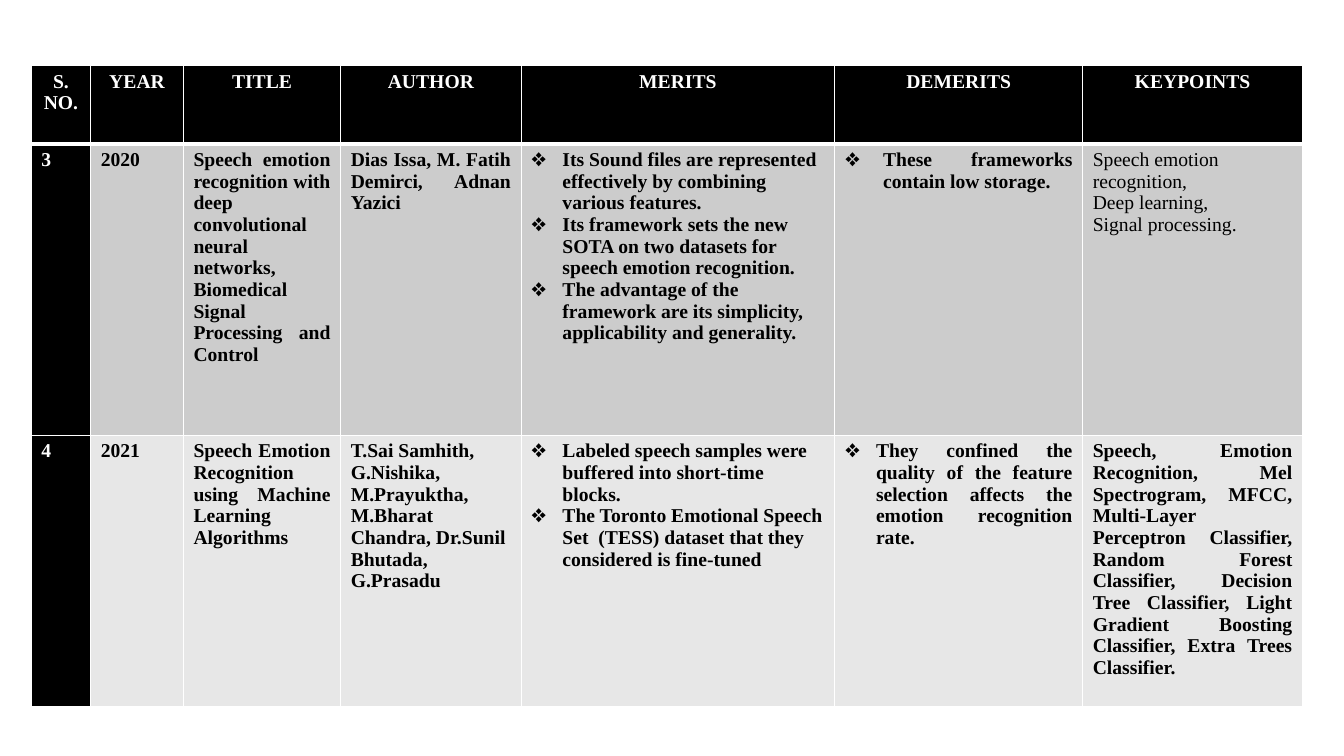
from lxml import etree
from pptx import Presentation
from pptx.dml.color import RGBColor
from pptx.enum.text import PP_ALIGN
from pptx.oxml.ns import qn
from pptx.util import Inches, Pt

COLORS = {"white": "FFFFFF", "black": "000000", "gray": "CCCCCC", "light": "E7E7E7"}
FONT = "Times New Roman"
LEFT, CENTER, JUSTIFY = PP_ALIGN.LEFT, PP_ALIGN.CENTER, PP_ALIGN.JUSTIFY


def write(cell, text, color="black", bold=True, align=JUSTIFY, indent=0):
    """Fill a cell with one paragraph per line; an indent adds diamond bullets."""
    tf = cell.text_frame
    for i, line in enumerate(text.split("\n")):
        p = tf.add_paragraph() if i else tf.paragraphs[0]
        p.alignment = align
        if indent:
            pPr = p._p.get_or_add_pPr()
            pPr.set("marL", str(Inches(indent)))
            pPr.set("indent", str(-Inches(indent)))
            bullet_color = etree.SubElement(pPr, qn("a:buClr"))
            etree.SubElement(bullet_color, qn("a:srgbClr"), val=COLORS[color])
            etree.SubElement(pPr, qn("a:buFont"), typeface=FONT)
            etree.SubElement(pPr, qn("a:buChar"), char="❖")
        r = p.add_run()
        r.text = line
        r.font.name = FONT
        r.font.size = Pt(14)
        r.font.bold = bold
        r.font.color.rgb = RGBColor.from_string(COLORS[color])


def add_borders(cell, **widths):
    tcPr = cell._tc.get_or_add_tcPr()
    for side, width in widths.items():
        ln = etree.SubElement(tcPr, qn(f"a:ln{side}"), w=str(Pt(width)))
        fill = etree.SubElement(ln, qn("a:solidFill"))
        etree.SubElement(fill, qn("a:srgbClr"), val=COLORS["white"])


headers = ["S.\nNO.", "YEAR", "TITLE", "AUTHOR", "MERITS", "DEMERITS", "KEYPOINTS"]
col_widths = [0.59, 0.92, 1.56, 1.79, 3.11, 2.46, 2.18]
row_heights = [0.78, 2.89, 2.69]
row_fills = ["black", "gray", "light"]

# Each entry is a text and the format that differs from bold, black, justified
papers = [
    [
        ("3", {"color": "white"}),
        ("2020", {}),
        ("Speech emotion recognition with deep convolutional neural networks, "
         "Biomedical Signal Processing and Control", {}),
        ("Dias Issa, M. Fatih Demirci, Adnan Yazici", {}),
        ("Its Sound files are represented effectively by combining various features.\n"
         "Its framework sets the new SOTA on two datasets for speech emotion recognition.\n"
         "The advantage of the framework are its simplicity, applicability and generality.",
         {"align": LEFT, "indent": 0.31}),
        ("These frameworks contain low storage.", {"indent": 0.38}),
        ("Speech emotion recognition,\nDeep learning,\nSignal processing.",
         {"align": LEFT, "bold": False}),
    ],
    [
        ("4", {"color": "white"}),
        ("2021", {}),
        ("Speech Emotion Recognition using Machine Learning Algorithms", {}),
        ("T.Sai Samhith, G.Nishika, M.Prayuktha, M.Bharat Chandra, "
         "Dr.Sunil Bhutada, G.Prasadu", {"align": LEFT}),
        ("Labeled speech samples were buffered into short-time blocks.\n"
         "The Toronto Emotional Speech Set  (TESS) dataset that they considered is fine-tuned",
         {"align": LEFT, "indent": 0.31}),
        ("They confined the quality of the feature selection affects the emotion "
         "recognition rate.", {"indent": 0.31}),
        ("Speech, Emotion Recognition, Mel Spectrogram, MFCC, Multi-Layer Perceptron "
         "Classifier, Random Forest Classifier, Decision Tree Classifier, Light Gradient "
         "Boosting Classifier, Extra Trees Classifier.", {}),
    ],
]

prs = Presentation()
prs.slide_width, prs.slide_height = Inches(13.33), Inches(7.5)
s = prs.slides.add_slide(prs.slide_layouts[6])

rows = [[(h, {"color": "white", "align": CENTER}) for h in headers]] + papers
table = s.shapes.add_table(len(rows), len(headers), Inches(0.31), Inches(0.65),
                           Inches(sum(col_widths)), Inches(sum(row_heights))).table
for column, width in zip(table.columns, col_widths):
    column.width = Inches(width)

for i, row in enumerate(rows):
    table.rows[i].height = Inches(row_heights[i])
    for j, (text, fmt) in enumerate(row):
        cell = table.cell(i, j)
        add_borders(cell, L=1, R=1, T=3 if i == 1 else 1, B=3 if i == 0 else 1)
        cell.fill.solid()
        fill = "black" if j == 0 else row_fills[i]
        cell.fill.fore_color.rgb = RGBColor.from_string(COLORS[fill])
        write(cell, text, **fmt)

prs.save("out.pptx")
